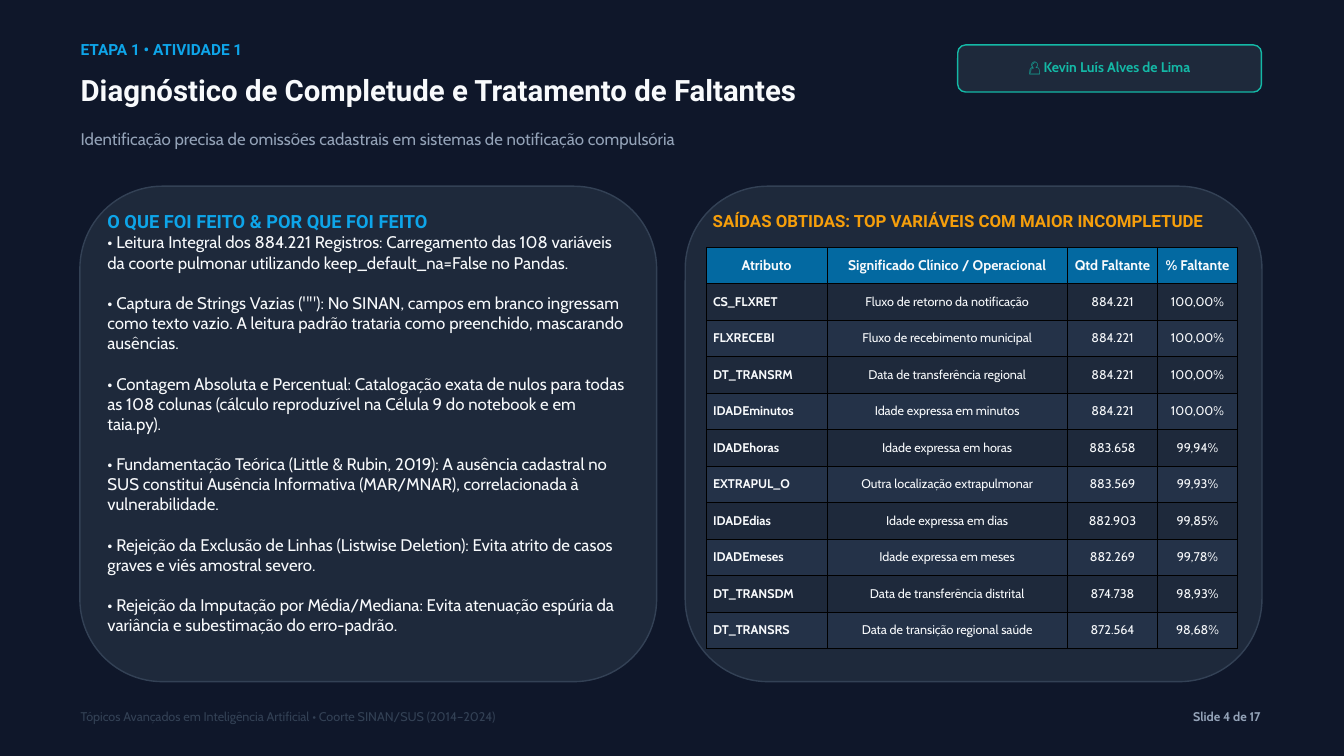
from lxml.etree import SubElement
from pptx import Presentation
from pptx.dml.color import RGBColor
from pptx.enum.shapes import MSO_SHAPE
from pptx.enum.text import MSO_ANCHOR, PP_ALIGN
from pptx.oxml.ns import qn
from pptx.util import Cm, Pt

COLORS = {
    "night": "0F172A", "card": "1E293B", "stripe": "243248", "slate": "334155",
    "sky": "0EA5E9", "header": "0369A1", "white": "F8FAFC", "muted": "94A3B8",
    "teal": "14B8A6", "amber": "F59E0B", "grid": "000000",
}

ACTIONS = [
    "• Leitura Integral dos 884.221 Registros: Carregamento das 108 variáveis da coorte pulmonar utilizando keep_default_na=False no Pandas.",
    '• Captura de Strings Vazias (""): No SINAN, campos em branco ingressam como texto vazio. A leitura padrão trataria como preenchido, mascarando ausências.',
    "• Contagem Absoluta e Percentual: Catalogação exata de nulos para todas as 108 colunas (cálculo reproduzível na Célula 9 do notebook e em taia.py).",
    "• Fundamentação Teórica (Little & Rubin, 2019): A ausência cadastral no SUS constitui Ausência Informativa (MAR/MNAR), correlacionada à vulnerabilidade.",
    "• Rejeição da Exclusão de Linhas (Listwise Deletion): Evita atrito de casos graves e viés amostral severo.",
    "• Rejeição da Imputação por Média/Mediana: Evita atenuação espúria da variância e subestimação do erro-padrão.",
]

MISSING = [
    ("Atributo", "Significado Clínico / Operacional", "Qtd Faltante", "% Faltante"),
    ("CS_FLXRET", "Fluxo de retorno da notificação", "884.221", "100,00%"),
    ("FLXRECEBI", "Fluxo de recebimento municipal", "884.221", "100,00%"),
    ("DT_TRANSRM", "Data de transferência regional", "884.221", "100,00%"),
    ("IDADEminutos", "Idade expressa em minutos", "884.221", "100,00%"),
    ("IDADEhoras", "Idade expressa em horas", "883.658", "99,94%"),
    ("EXTRAPUL_O", "Outra localização extrapulmonar", "883.569", "99,93%"),
    ("IDADEdias", "Idade expressa em dias", "882.903", "99,85%"),
    ("IDADEmeses", "Idade expressa em meses", "882.269", "99,78%"),
    ("DT_TRANSDM", "Data de transferência distrital", "874.738", "98,93%"),
    ("DT_TRANSRS", "Data de transição regional saúde", "872.564", "98,68%"),
]
COLUMN_WIDTHS = (4.55, 9.1, 3.4, 3.02)
ROW_HEIGHT = 1.38


def rgb(name):
    """Return the palette colour with the given name."""
    return RGBColor.from_string(COLORS[name])


def write(paragraph, text, size, color, font="Cabin", bold=False, align=PP_ALIGN.LEFT):
    """Fill a paragraph with one styled run on 1.2x exact line spacing."""
    paragraph.text = text
    paragraph.alignment = align
    paragraph.line_spacing = Pt(size * 1.2)
    for run in paragraph.runs:
        run.font.name = font
        run.font.size = Pt(size)
        run.font.bold = bold
        run.font.color.rgb = rgb(color)


def add_label(slide, left, top, width, height, text, size, color, **style):
    """Add a text box without margins and return its text frame."""
    frame = slide.shapes.add_textbox(Cm(left), Cm(top), Cm(width), Cm(height)).text_frame
    frame.word_wrap = True
    frame.margin_left = frame.margin_right = frame.margin_top = frame.margin_bottom = 0
    write(frame.paragraphs[0], text, size, color, **style)
    return frame


def add_panel(slide, left, top, width, height, outline):
    """Add a rounded dark panel with a thin outline."""
    panel = slide.shapes.add_shape(
        MSO_SHAPE.ROUNDED_RECTANGLE, Cm(left), Cm(top), Cm(width), Cm(height))
    panel.shadow.inherit = False
    panel.fill.solid()
    panel.fill.fore_color.rgb = rgb("card")
    panel.line.color.rgb = rgb(outline)
    panel.line.width = Pt(1.5)
    return panel


def add_header(slide, left, top, width):
    """Add the stage label, title and subtitle."""
    add_label(slide, left, top, width, 1.22, "ETAPA 1 • ATIVIDADE 1",
              16.5, "sky", font="Roboto", bold=True)
    add_label(slide, left, top + 1.22, width, 2.1,
              "Diagnóstico de Completude e Tratamento de Faltantes",
              31.5, "white", font="Roboto", bold=True)
    add_label(slide, left, top + 3.33, width, 1.55,
              "Identificação precisa de omissões cadastrais em sistemas de notificação compulsória",
              18, "muted")


def add_author_badge(slide, left, top, width, height):
    """Add the outlined badge with the author's name."""
    frame = add_panel(slide, left, top, width, height, "teal").text_frame
    frame.word_wrap = True
    frame.vertical_anchor = MSO_ANCHOR.MIDDLE
    frame.margin_top, frame.margin_bottom = Cm(0.15), Cm(0.25)
    write(frame.paragraphs[0], "👤 Kevin Luís Alves de Lima", 15, "teal",
          bold=True, align=PP_ALIGN.CENTER)


def add_actions_card(slide, left, top, width, height):
    """Add the card that explains what was done and why."""
    add_panel(slide, left, top, width, height, "slate")
    frame = add_label(slide, left + 1.04, top + 0.91, width - 2.08, 14.88,
                      "O QUE FOI FEITO & POR QUE FOI FEITO",
                      19.5, "sky", font="Roboto", bold=True)
    for index, action in enumerate(ACTIONS):
        paragraph = frame.add_paragraph()
        write(paragraph, action, 18, "white")
        if index:
            paragraph.space_before = Pt(21.6)


def draw_borders(cell):
    """Give a cell thin borders on all four sides."""
    properties = cell._tc.get_or_add_tcPr()
    for side in ("a:lnL", "a:lnR", "a:lnT", "a:lnB"):
        border = SubElement(properties, qn(side), w=str(Pt(0.37)))
        fill = SubElement(border, qn("a:solidFill"))
        SubElement(fill, qn("a:srgbClr"), val=COLORS["grid"])


def add_missing_table(slide, left, top):
    """Add the table of the variables with most missing values."""
    table = slide.shapes.add_table(
        len(MISSING), len(COLUMN_WIDTHS), Cm(left), Cm(top),
        Cm(sum(COLUMN_WIDTHS)), Cm(ROW_HEIGHT * len(MISSING))).table
    for column, width in zip(table.columns, COLUMN_WIDTHS):
        column.width = Cm(width)
    for row_index, values in enumerate(MISSING):
        table.rows[row_index].height = Cm(ROW_HEIGHT)
        is_header = row_index == 0
        background = "header" if is_header else ("stripe", "card")[row_index % 2]
        for column_index, value in enumerate(values):
            is_attribute = column_index == 0 and not is_header
            cell = table.cell(row_index, column_index)
            cell.vertical_anchor = MSO_ANCHOR.MIDDLE
            cell.margin_left = cell.margin_right = Cm(0.25)
            cell.margin_top = cell.margin_bottom = Cm(0.25)
            draw_borders(cell)
            cell.fill.solid()
            cell.fill.fore_color.rgb = rgb(background)
            write(cell.text_frame.paragraphs[0], value, 15 if is_header else 13.5, "white",
                  bold=is_header or is_attribute,
                  align=PP_ALIGN.LEFT if is_attribute else PP_ALIGN.CENTER)


def add_results_card(slide, left, top, width, height):
    """Add the card with the results heading and table."""
    add_panel(slide, left, top, width, height, "slate")
    add_label(slide, left + 1.04, top + 0.91, width - 2.08, 1.27,
              "SAÍDAS OBTIDAS: TOP VARIÁVEIS COM MAIOR INCOMPLETUDE",
              18, "amber", font="Roboto", bold=True)
    add_missing_table(slide, left + 0.8, top + 2.3)


def add_footer(slide, left, top, width):
    """Add the course name and the slide number."""
    number_width = 7.62
    add_label(slide, left, top, 30.5, 1.22,
              "Tópicos Avançados em Inteligência Artificial • Coorte SINAN/SUS (2014–2024)",
              13.5, "slate")
    add_label(slide, left + width - number_width, top, number_width, 0.64,
              "Slide 4 de 17", 13.5, "muted", bold=True, align=PP_ALIGN.RIGHT)


def main():
    """Build the slide and save the presentation."""
    presentation = Presentation()
    presentation.slide_width, presentation.slide_height = Cm(50.8), Cm(28.58)
    slide = presentation.slides.add_slide(presentation.slide_layouts[6])
    slide.background.fill.solid()
    slide.background.fill.fore_color.rgb = rgb("night")
    add_header(slide, 3.05, 1.52, 32.4)
    add_author_badge(slide, 36.2, 1.7, 11.48, 1.78)
    add_actions_card(slide, 3.02, 7.04, 21.8, 18.73)
    add_results_card(slide, 25.9, 7.04, 21.8, 18.73)
    add_footer(slide, 3.05, 26.8, 44.6)
    presentation.save("out.pptx")


if __name__ == "__main__":
    main()
